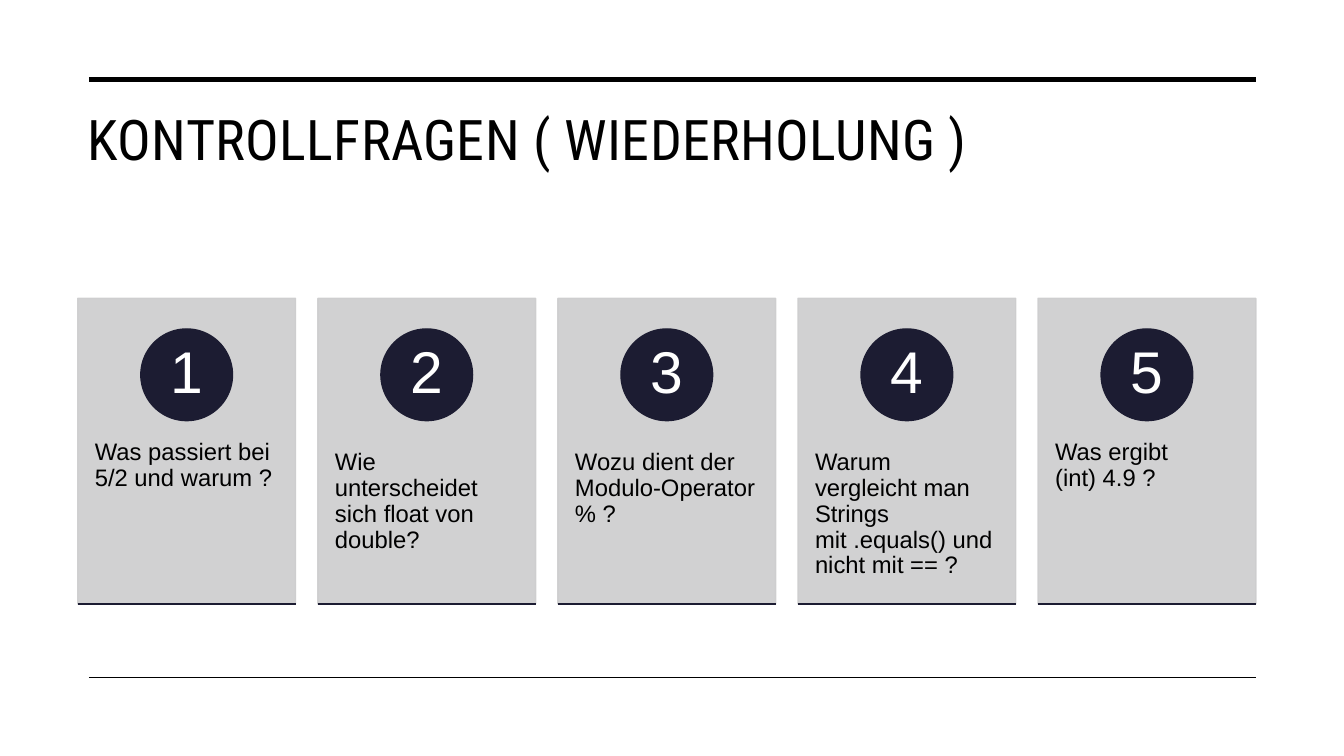
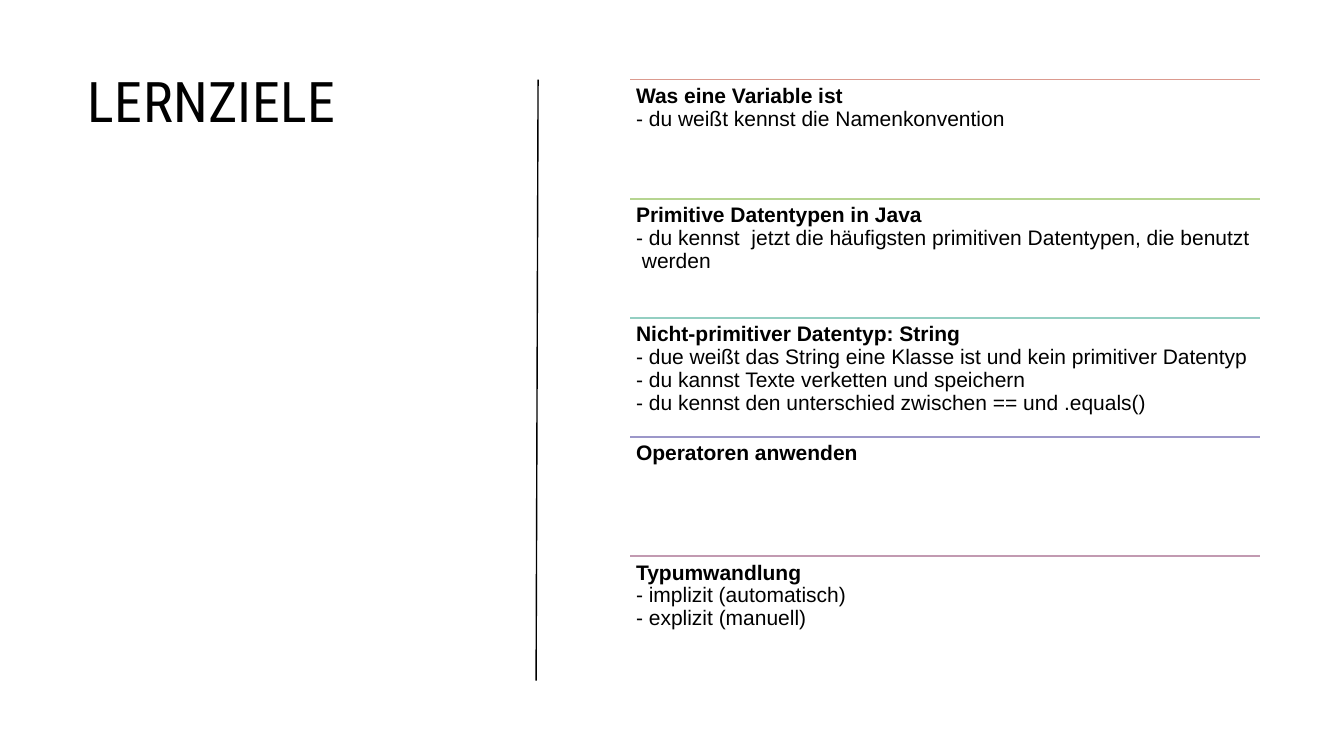
from lxml import etree
from pptx import Presentation
from pptx.dml.color import RGBColor
from pptx.enum import shapes, text
from pptx.oxml import ns
from pptx.util import Cm, Pt

# Shared style
BLACK = RGBColor(0x00, 0x00, 0x00)
WHITE = RGBColor(0xFF, 0xFF, 0xFF)
NAVY = RGBColor(0x1C, 0x1C, 0x32)
CARD_GREY = RGBColor(0xCD, 0xCD, 0xCE)
SALMON = RGBColor(0xDB, 0x9A, 0x8F)
GREEN = RGBColor(0xB6, 0xD5, 0x91)
TEAL = RGBColor(0x94, 0xCF, 0xC2)
VIOLET = RGBColor(0x9C, 0x97, 0xC9)
MAUVE = RGBColor(0xC2, 0x9A, 0xB1)
TITLE_FONT = "Roboto Condensed"
BODY_FONT = "Arial"
LEFT = 1.96
RULE_LEFT, RULE_RIGHT = 2.24, 31.65
RULE_TOP, RULE_BOTTOM = 2.01, 17.07

# Content
QUESTIONS = [
    ["Was passiert bei 5/2 und warum ?"],
    ["Wie unterscheidet sich float von double?"],
    ["Wozu dient der Modulo-Operator % ?"],
    ["Warum vergleicht man Strings mit .equals() und nicht mit == ?"],
    ["Was ergibt", "(int) 4.9 ?"],
]
GOALS = [
    (SALMON, "Was eine Variable ist", ["- du weißt kennst die Namenkonvention"]),
    (GREEN, "Primitive Datentypen in Java",
     ["- du kennst  jetzt die häufigsten primitiven Datentypen, die benutzt  werden"]),
    (TEAL, "Nicht-primitiver Datentyp: String",
     ["- due weißt das String eine Klasse ist und kein primitiver Datentyp",
      "- du kannst Texte verketten und speichern",
      "- du kennst den unterschied zwischen == und .equals()"]),
    (VIOLET, "Operatoren anwenden", []),
    (MAUVE, "Typumwandlung", ["- implizit (automatisch)", "- explizit (manuell)"]),
]


def add_run(paragraph, words, size, color=BLACK, font=BODY_FONT, bold=False):
    run = paragraph.add_run()
    run.text = words
    run.font.name = font
    run.font.size = Pt(size)
    run.font.bold = bold
    run.font.color.rgb = color
    return run


def add_lines(paragraph, lines, size, bold_first=False):
    """Write lines into one paragraph, separated by line breaks."""
    paragraph.line_spacing = 0.9
    for index, line in enumerate(lines):
        if index:
            paragraph.add_line_break()
        add_run(paragraph, line, size, bold=bold_first and index == 0)


def set_margins(frame, horizontal, vertical):
    frame.margin_left = frame.margin_right = Cm(horizontal)
    frame.margin_top = frame.margin_bottom = Cm(vertical)


def add_title_slide(presentation, words, top, width, height):
    slide = presentation.slides.add_slide(presentation.slide_layouts[5])
    title = slide.shapes.title
    title.left, title.top = Cm(LEFT), Cm(top)
    title.width, title.height = Cm(width), Cm(height)
    frame = title.text_frame
    frame.word_wrap = True
    frame.auto_size = text.MSO_AUTO_SIZE.NONE
    frame.vertical_anchor = text.MSO_ANCHOR.TOP
    paragraph = frame.paragraphs[0]
    paragraph.alignment = text.PP_ALIGN.LEFT
    run = add_run(paragraph, words, 40, font=TITLE_FONT)
    run.font._element.set("spc", "30")
    return slide


def add_line(slide, x1, y1, x2, y2, color=BLACK, width=1):
    line = slide.shapes.add_connector(
        shapes.MSO_CONNECTOR.STRAIGHT, Cm(x1), Cm(y1), Cm(x2), Cm(y2))
    line.line.color.rgb = color
    line.line.width = Pt(width)
    etree.SubElement(line._element.spPr, ns.qn("a:effectLst"))


def add_filled_shape(slide, kind, left, top, width, height, color, opacity=100):
    shape = slide.shapes.add_shape(kind, Cm(left), Cm(top), Cm(width), Cm(height))
    shape.shadow.inherit = False
    shape.fill.solid()
    shape.fill.fore_color.rgb = color
    shape.line.color.rgb = color
    shape.line.width = Pt(1)
    if opacity < 100:
        for value in shape._element.spPr.iter(ns.qn("a:srgbClr")):
            etree.SubElement(value, ns.qn("a:alpha"), val=str(opacity * 1000))
    return shape


def add_text(slide, left, top, width, height, margins, lines, size, bold_first=False):
    box = slide.shapes.add_textbox(Cm(left), Cm(top), Cm(width), Cm(height))
    frame = box.text_frame
    frame.word_wrap = True
    set_margins(frame, *margins)
    add_lines(frame.paragraphs[0], lines, size, bold_first)


def add_question_card(slide, left, number, lines):
    top, width, height, diameter = 7.52, 5.49, 7.7, 2.31
    add_filled_shape(slide, shapes.MSO_SHAPE.RECTANGLE,
                     left, top, width, height, CARD_GREY, opacity=90)
    add_text(slide, left, top + 2.92, width, 4.62, (0.43, 0.91), lines, 17)
    circle = add_filled_shape(slide, shapes.MSO_SHAPE.OVAL,
                              left + (width - diameter) / 2, top + 0.77,
                              diameter, diameter, NAVY)
    frame = circle.text_frame
    frame.word_wrap = False
    frame.vertical_anchor = text.MSO_ANCHOR.MIDDLE
    set_margins(frame, 0, 0)
    paragraph = frame.paragraphs[0]
    paragraph.alignment = text.PP_ALIGN.CENTER
    paragraph.line_spacing = 0.9
    add_run(paragraph, str(number), 42, WHITE)
    add_line(slide, left, top + height, left + width, top + height, NAVY)


def build_questions(presentation):
    slide = add_title_slide(presentation, "KONTROLLFRAGEN ( WIEDERHOLUNG )",
                            2.51, 29.69, 3.2)
    add_line(slide, RULE_LEFT, RULE_TOP, RULE_RIGHT, RULE_TOP, width=3.5)
    add_line(slide, RULE_LEFT, RULE_BOTTOM, RULE_RIGHT, RULE_BOTTOM)
    for index, lines in enumerate(QUESTIONS):
        add_question_card(slide, LEFT + index * 6.05, index + 1, lines)


def build_goals(presentation):
    slide = add_title_slide(presentation, "LERNZIELE", 1.55, 10.06, 12.67)
    add_line(slide, 13.51, 17.15, 13.56, RULE_TOP)
    left, width, row_height = 15.88, 15.88, 3.0
    for index, (color, heading, details) in enumerate(GOALS):
        top = RULE_TOP + index * row_height
        add_line(slide, left, top, left + width, top, color)
        add_text(slide, left, top, width, row_height, (0.15, 0.15),
                 [heading, *details], 15, bold_first=True)


def main():
    presentation = Presentation()
    presentation.slide_width, presentation.slide_height = Cm(33.87), Cm(19.05)
    build_questions(presentation)
    build_goals(presentation)
    presentation.save("out.pptx")


if __name__ == "__main__":
    main()
